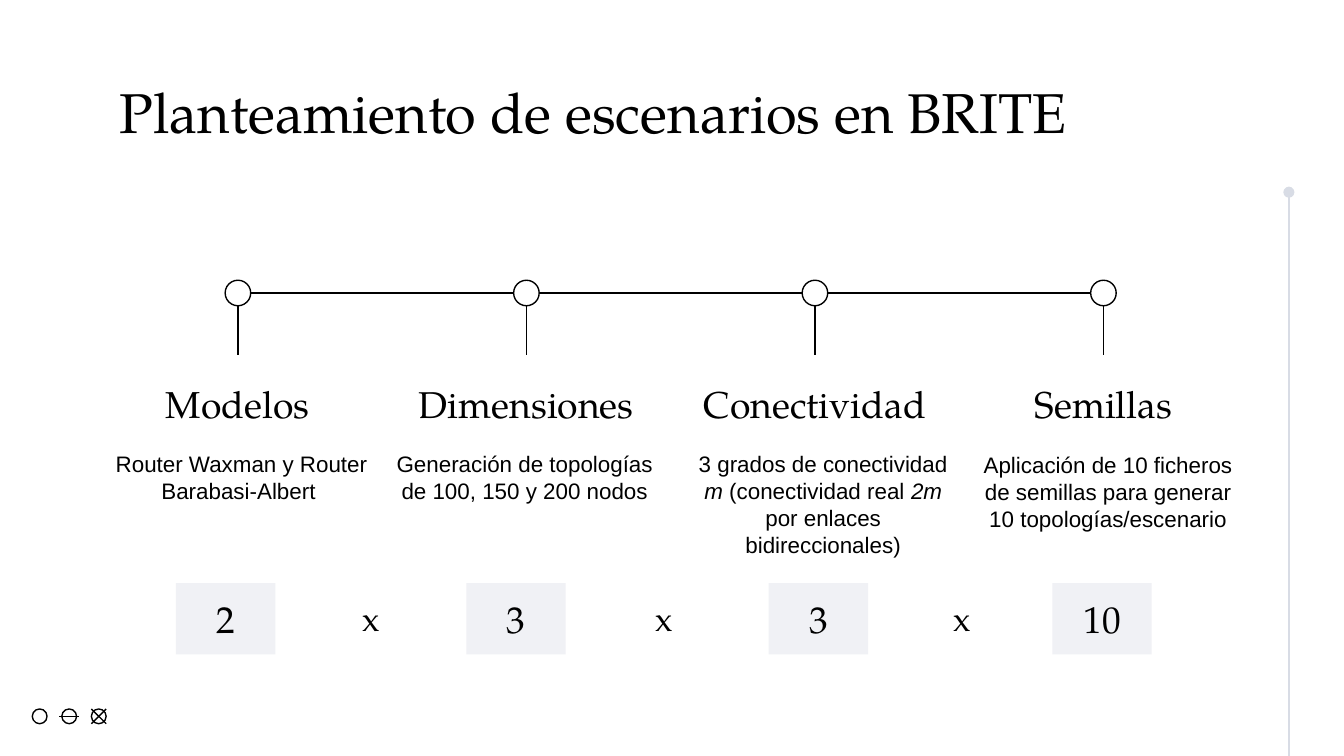
from dataclasses import dataclass

import lxml.etree
import pptx
import pptx.dml.color
import pptx.enum.shapes
import pptx.enum.text
import pptx.oxml.ns
import pptx.util

Inches = pptx.util.Inches
Pt = pptx.util.Pt
RGB = pptx.dml.color.RGBColor
SHAPE = pptx.enum.shapes.MSO_SHAPE
ALIGN = pptx.enum.text.PP_ALIGN
ANCHOR = pptx.enum.text.MSO_ANCHOR


@dataclass(frozen=True)
class Theme:
    ink: RGB = RGB(0x00, 0x00, 0x00)
    paper: RGB = RGB(0xFF, 0xFF, 0xFF)
    panel: RGB = RGB(0xF0, 0xF1, 0xF5)
    rail: RGB = RGB(0xD8, 0xDC, 0xE5)
    serif: str = "TeX Gyre Pagella"
    sans: str = "Arial"
    title: int = 30
    heading: int = 20
    operator: int = 18
    body: int = 12
    stroke: float = 0.75


THEME = Theme()
SLIDE_W = 10
SLIDE_H = SLIDE_W * 9 / 16
FIRST_X, LAST_X = 1.77, 8.21
AXIS_Y, RADIUS, STEM_END = 2.18, 0.19 / 2, 2.64

STAGES = [
    ("Modelos", [(" Router Waxman y Router Barabasi-Albert", False)],
     (0.7, 3.25, 2.15), "2", 1.31),
    ("Dimensiones", [("Generación de topologías de 100, 150 y 200 nodos", False)],
     (2.81, 3.25, 2.19), "3", 3.47),
    ("Conectividad", [("3 grados de conectividad ", False), ("m", True),
                      (" (conectividad real ", False), ("2m", True),
                      (" por enlaces bidireccionales)", False)],
     (5.03, 3.25, 2.19), "3", 5.72),
    ("Semillas", [("Aplicación de 10 ficheros de semillas para generar "
                   "10 topologías/escenario", False)],
     (7.14, 3.26, 2.21), "10", 7.83),
]
STEP_X = (LAST_X - FIRST_X) / (len(STAGES) - 1)
OPERATOR_LEFTS = (2.6, 4.78, 7)


def write(tf, runs, size, font, align=ALIGN.CENTER, anchor=ANCHOR.TOP):
    tf.word_wrap = True
    tf.vertical_anchor = anchor
    tf.margin_left = tf.margin_right = Inches(0.1)
    tf.margin_top = tf.margin_bottom = Inches(0.1)
    p = tf.paragraphs[0]
    p.alignment = align
    for text, italic in runs:
        r = p.add_run()
        r.text = text
        r.font.size = Pt(size)
        r.font.name = font
        r.font.italic = italic
        r.font.color.rgb = THEME.ink


def add_text(s, box, runs, size, font, **layout):
    sp = s.shapes.add_textbox(*map(Inches, box))
    write(sp.text_frame, runs, size, font, **layout)
    return sp


def add_line(s, x1, y1, x2, y2, color=THEME.ink, oval_start=False):
    sp = s.shapes.add_connector(pptx.enum.shapes.MSO_CONNECTOR.STRAIGHT,
                                *map(Inches, (x1, y1, x2, y2)))
    sp.line.color.rgb = color
    sp.line.width = Pt(THEME.stroke)
    qn = pptx.oxml.ns.qn
    spPr = sp._element.spPr
    if oval_start:
        lxml.etree.SubElement(spPr.find(qn("a:ln")), qn("a:headEnd"), type="oval")
    lxml.etree.SubElement(spPr, qn("a:effectLst"))


def add_circle(s, x, y, radius, fill=None):
    sp = s.shapes.add_shape(SHAPE.OVAL, Inches(x - radius), Inches(y - radius),
                            Inches(2 * radius), Inches(2 * radius))
    sp.shadow.inherit = False
    if fill is None:
        sp.fill.background()
    else:
        sp.fill.solid()
        sp.fill.fore_color.rgb = fill
    sp.line.color.rgb = THEME.ink
    sp.line.width = Pt(THEME.stroke)


def add_factor(s, left, text):
    sp = s.shapes.add_shape(SHAPE.RECTANGLE, *map(Inches, (left, 4.34, 0.74, 0.53)))
    sp.shadow.inherit = False
    sp.fill.solid()
    sp.fill.fore_color.rgb = THEME.panel
    sp.line.fill.background()
    write(sp.text_frame, [(text, False)], THEME.heading, THEME.serif,
          anchor=ANCHOR.BOTTOM)


def add_operator(s, left):
    sp = add_text(s, (left, 4.4, 0.34, 0.4), [("x", False)], THEME.operator,
                  THEME.serif, align=ALIGN.LEFT)
    tf = sp.text_frame
    tf.margin_top = tf.margin_bottom = Inches(0.05)
    tf.auto_size = pptx.enum.text.MSO_AUTO_SIZE.SHAPE_TO_FIT_TEXT


def add_ornaments(s):
    y, r = 5.33, 0.11 / 2
    for i in range(3):
        add_circle(s, 0.24 + r + 0.22 * i, y, r)
    add_line(s, 0.44, y, 0.59, y)
    add_line(s, 0.68, y + r, 0.79, y - r)
    add_line(s, 0.79, y + r, 0.68, y - r)
    add_line(s, 9.59, 1.43, 9.59, SLIDE_H, THEME.rail, oval_start=True)


def add_stage(s, index, stage):
    heading, body, (left, top, width), factor, factor_left = stage
    x = FIRST_X + index * STEP_X
    add_text(s, (x - 0.99, 2.64, 1.98, 0.63), [(heading, False)],
             THEME.heading, THEME.serif, anchor=ANCHOR.BOTTOM)
    add_text(s, (left, top, width, 1.26), body, THEME.body, THEME.sans)
    if index < len(STAGES) - 1:
        add_line(s, x + RADIUS, AXIS_Y, x + STEP_X - RADIUS, AXIS_Y)
    add_line(s, x, AXIS_Y + RADIUS, x, STEM_END)
    add_circle(s, x, AXIS_Y, RADIUS, THEME.paper)
    add_factor(s, factor_left, factor)


def main():
    prs = pptx.Presentation()
    prs.slide_width, prs.slide_height = Inches(SLIDE_W), Inches(SLIDE_H)
    s = prs.slides.add_slide(prs.slide_layouts[6])
    s.background.fill.solid()
    s.background.fill.fore_color.rgb = THEME.paper
    add_ornaments(s)
    add_text(s, (0.79, 0.48, 8.43, 0.63),
             [("Planteamiento de escenarios en BRITE", False)],
             THEME.title, THEME.serif, align=ALIGN.LEFT)
    for index, stage in enumerate(STAGES):
        add_stage(s, index, stage)
    for left in OPERATOR_LEFTS:
        add_operator(s, left)
    prs.save("out.pptx")


if __name__ == "__main__":
    main()
